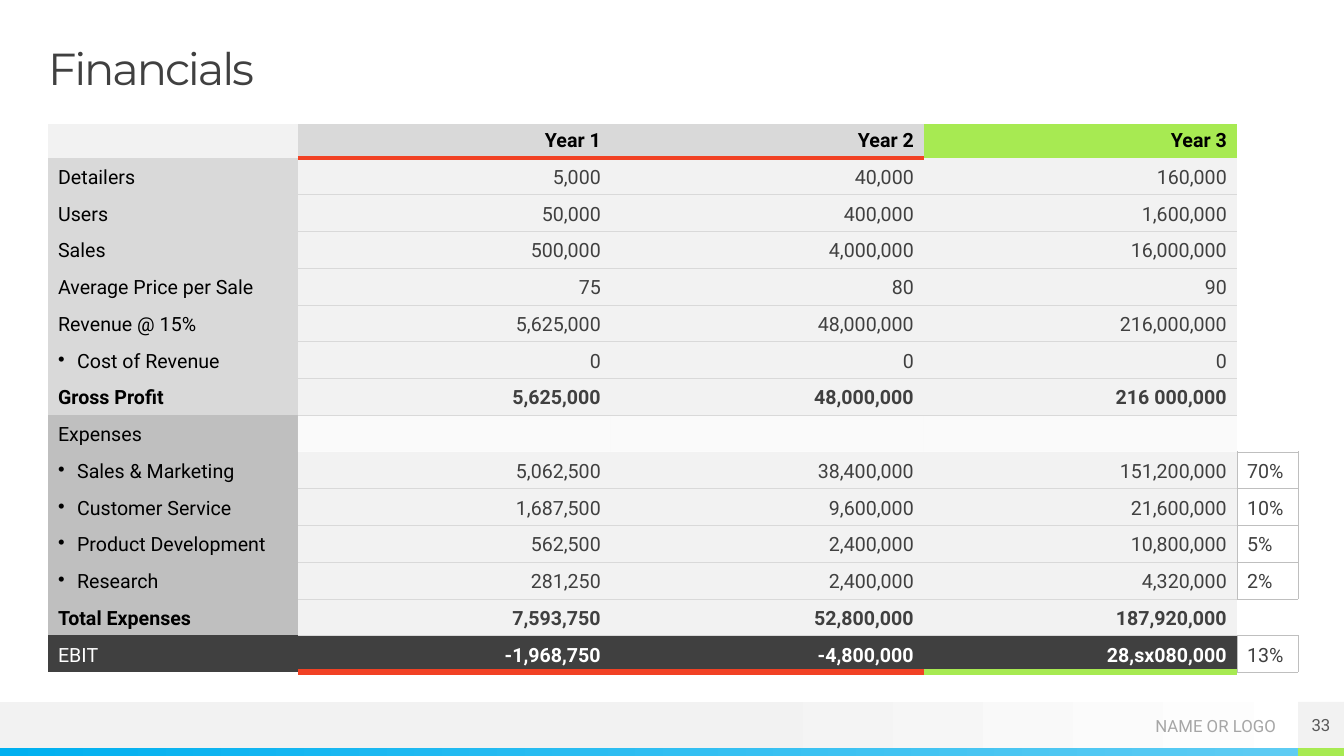
from lxml import etree
from pptx import Presentation
from pptx import util as u
from pptx.dml.color import RGBColor
from pptx.enum import shapes, text
from pptx.oxml import ns

PX = 914400 / 100.8
BLACK = RGBColor(0x00, 0x00, 0x00)
WHITE = RGBColor(0xFF, 0xFF, 0xFF)
INK = RGBColor(0x40, 0x40, 0x40)
DIM = RGBColor(0x59, 0x59, 0x59)
MUTED = RGBColor(0xA6, 0xA6, 0xA6)
MID = RGBColor(0xBF, 0xBF, 0xBF)
LIGHT = RGBColor(0xD9, 0xD9, 0xD9)
PALE = RGBColor(0xF2, 0xF2, 0xF2)
RED = RGBColor(0xF1, 0x41, 0x24)
GREEN = RGBColor(0xA7, 0xEA, 0x52)
BLUE = RGBColor(0x00, 0xB0, 0xF0)
SKY = RGBColor(0x5E, 0xCC, 0xF3)

NO_STYLE = "{2D5ABB26-0587-4C30-8999-92F81FD0307C}"
COLUMNS = [250, 313, 313, 313, 61]
HEADER_HEIGHT = 33
YEAR_3, SHARE = 3, 4
# label, three yearly values, share of revenue
ROWS = [
    ("", "Year 1", "Year 2", "Year 3", ""),
    ("Detailers", "5,000", "40,000", "160,000", ""),
    ("Users", "50,000", "400,000", "1,600,000", ""),
    ("Sales", "500,000", "4,000,000", "16,000,000", ""),
    ("Average Price per Sale", "75", "80", "90", ""),
    ("Revenue @ 15%", "5,625,000", "48,000,000", "216,000,000", ""),
    ("Cost of Revenue", "0", "0", "0", ""),
    ("Gross Profit", "5,625,000", "48,000,000", "216 000,000", ""),
    ("Expenses", "", "", "", ""),
    ("Sales & Marketing", "5,062,500", "38,400,000", "151,200,000", "70%"),
    ("Customer Service", "1,687,500", "9,600,000", "21,600,000", "10%"),
    ("Product Development", "562,500", "2,400,000", "10,800,000", "5%"),
    ("Research", "281,250", "2,400,000", "4,320,000", "2%"),
    ("Total Expenses", "7,593,750", "52,800,000", "187,920,000", ""),
    ("EBIT", "-1,968,750", "-4,800,000", "28,sx080,000", "13%"),
]
HEADER, GROSS, EXPENSES, TOTAL, EBIT = 0, 7, 8, 13, 14
BULLETED = {6, 9, 10, 11, 12}


def px(length):
    return u.Emu(round(length * PX))


def add_run(para, words, size, color, font="Roboto", bold=False):
    span = para.add_run()
    span.text = words
    span.font.name, span.font.size = font, u.Pt(size)
    span.font.color.rgb, span.font.bold = color, bold
    return span


def clear_margins(frame):
    frame.margin_left = frame.margin_right = 0
    frame.margin_top = frame.margin_bottom = 0
    frame.word_wrap = True


def add_title(page, left, top, width, height):
    title = page.shapes.title
    title.left, title.top, title.width, title.height = map(px, (left, top, width, height))
    frame = title.text_frame
    clear_margins(frame)
    frame.auto_size = text.MSO_AUTO_SIZE.NONE
    frame.vertical_anchor = text.MSO_ANCHOR.TOP
    para = frame.paragraphs[0]
    para.alignment, para.line_spacing = text.PP_ALIGN.LEFT, 0.9
    span = add_run(para, "Financials", 32, INK, "Montserrat")
    span.font._element.set("spc", "-150")


def add_band(page, left, top, width, height, *stops):
    """Add a rectangle filled with one colour, or with a gradient of (position, colour)."""
    band = page.shapes.add_shape(shapes.MSO_SHAPE.RECTANGLE, *map(px, (left, top, width, height)))
    band.shadow.inherit = False
    band.line.fill.background()
    if len(stops) == 1:
        band.fill.solid()
        band.fill.fore_color.rgb = stops[0]
    else:
        band.fill.gradient()
        band.fill.gradient_angle = 0
        for stop, (position, color) in zip(band.fill.gradient_stops, stops):
            stop.position, stop.color.rgb = position, color
    return band


def write_footer_text(box, words, color, alignment):
    frame = box.text_frame
    clear_margins(frame)
    frame.vertical_anchor = text.MSO_ANCHOR.MIDDLE
    frame.paragraphs[0].alignment = alignment
    add_run(frame.paragraphs[0], words, 12, color)


def add_footer(page, left, top, width, height):
    strip, corner = 8, 46
    body = height - strip
    split = left + width - corner
    add_band(page, left, top, width, body, (0.53, PALE), (1, WHITE))
    add_band(page, left, top + body, split, strip, (0, BLUE), (1, SKY))
    add_band(page, split, top + body, corner, strip, GREEN)
    name = page.shapes.add_textbox(*map(px, (split - 248, top, 226, body + 1)))
    write_footer_text(name, "NAME OR LOGO", MUTED, text.PP_ALIGN.RIGHT)
    number = add_band(page, split, top, corner, body, PALE)
    write_footer_text(number, "33", DIM, text.PP_ALIGN.CENTER)


def edge_below(row, column):
    """Return (colour, points) of the line under a cell, or None."""
    if column == SHARE:
        boxed = any(line[SHARE] for line in ROWS[max(row, 0):row + 2])
        return (MID, 0.25) if boxed else None
    if row < 0 or column == 0 or row in (GROSS, EXPENSES, TOTAL):
        return None
    if row == HEADER:
        return None if column == YEAR_3 else (RED, 3)
    if row == EBIT:
        return (GREEN if column == YEAR_3 else RED, 4.5)
    return (LIGHT, 0.25)


def edge_right(row, column):
    return (MID, 0.25) if column >= YEAR_3 and ROWS[row][SHARE] else None


def cell_fill(row, column):
    if column == SHARE:
        return WHITE
    if row == EBIT:
        return INK
    if row == HEADER:
        return [PALE, LIGHT, LIGHT, GREEN][column]
    if column == 0:
        return LIGHT if row < EXPENSES else MID
    return PALE


def text_color(row, column):
    if row == EBIT and column != SHARE:
        return WHITE
    return BLACK if row == HEADER or column == 0 else INK


def draw_borders(cell, row, column):
    edges = {
        "a:lnL": edge_right(row, column - 1),
        "a:lnR": edge_right(row, column),
        "a:lnT": edge_below(row - 1, column),
        "a:lnB": edge_below(row, column),
    }
    properties = cell._tc.get_or_add_tcPr()
    for tag, edge in edges.items():
        if edge:
            color, points = edge
            line = etree.SubElement(properties, ns.qn(tag), w=str(u.Pt(points)))
            solid = etree.SubElement(line, ns.qn("a:solidFill"))
            etree.SubElement(solid, ns.qn("a:srgbClr"), val=str(color))


def paint_cell(cell, row, column):
    cell.fill.solid()
    cell.fill.fore_color.rgb = cell_fill(row, column)
    if row == EXPENSES and 0 < column < SHARE:
        tint = cell._tc.tcPr.find(".//" + ns.qn("a:srgbClr"))
        etree.SubElement(tint, ns.qn("a:alpha"), val="36000")


def write_cell(cell, row, column):
    cell.vertical_anchor = text.MSO_ANCHOR.BOTTOM
    para = cell.text_frame.paragraphs[0]
    words = ROWS[row][column]
    if not words:
        etree.SubElement(para._p, ns.qn("a:endParaRPr"), sz="1400")
        return
    is_value = 0 < column < SHARE
    para.alignment = text.PP_ALIGN.RIGHT if is_value else text.PP_ALIGN.LEFT
    if column == 0 and row in BULLETED:
        properties = para._p.get_or_add_pPr()
        properties.set("marL", str(px(19)))
        properties.set("indent", str(-px(19)))
        etree.SubElement(properties, ns.qn("a:buChar"), char="•")
    bold = row in (HEADER, GROSS, TOTAL) or (row == EBIT and is_value)
    add_run(para, words, 14, text_color(row, column), bold=bold)


def add_financials(page, left, top, width, height):
    frame = page.shapes.add_table(len(ROWS), len(COLUMNS), *map(px, (left, top, width, height)))
    table = frame.table
    table.first_row = table.horz_banding = False
    frame.element.find(".//" + ns.qn("a:tableStyleId")).text = NO_STYLE
    for column, column_width in zip(table.columns, COLUMNS):
        column.width = px(column_width)
    for row, line in enumerate(table.rows):
        share = (height - HEADER_HEIGHT) / (len(ROWS) - 1)
        line.height = px(HEADER_HEIGHT if row == HEADER else share)
        for column, cell in enumerate(line.cells):
            draw_borders(cell, row, column)
            paint_cell(cell, row, column)
            write_cell(cell, row, column)


def main():
    deck = Presentation()
    deck.slide_width, deck.slide_height = px(1344), px(756)
    page = deck.slides.add_slide(deck.slide_layouts[5])
    add_footer(page, 0, 702, 1344, 54)
    add_title(page, 48, 47, 1250, 47)
    add_financials(page, 48, 124, sum(COLUMNS), 548)
    deck.save("out.pptx")


if __name__ == "__main__":
    main()
